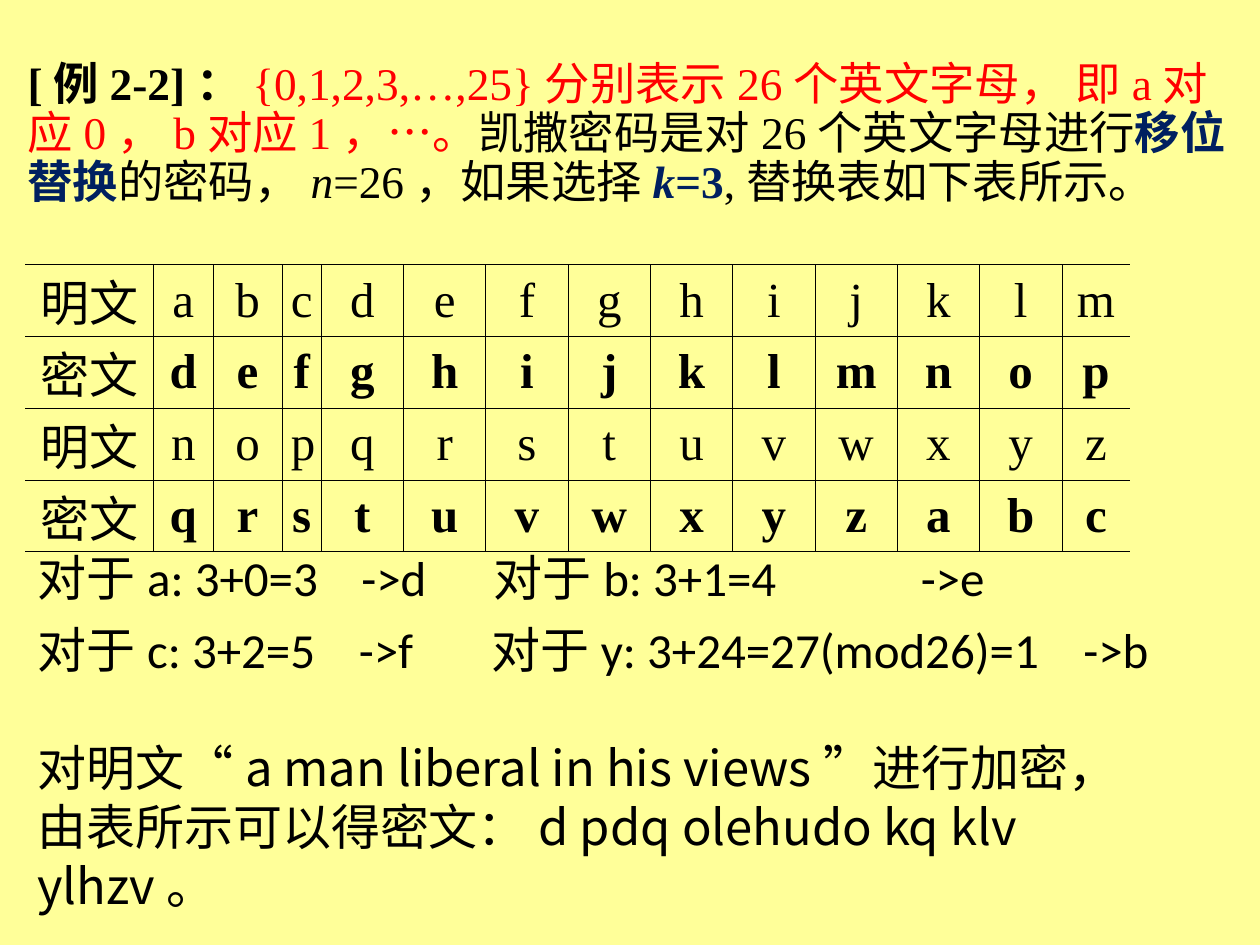
"""Build the slide on the Caesar cipher substitution table."""
from dataclasses import dataclass

from lxml import etree
from pptx import Presentation
from pptx.dml.color import RGBColor
from pptx.enum.text import MSO_ANCHOR, MSO_AUTO_SIZE, PP_ALIGN
from pptx.oxml.ns import qn
from pptx.util import Inches, Pt

CENTER = PP_ALIGN.CENTER
TOP, MIDDLE = MSO_ANCHOR.TOP, MSO_ANCHOR.MIDDLE
NO_FIT, GROW = MSO_AUTO_SIZE.NONE, MSO_AUTO_SIZE.SHAPE_TO_FIT_TEXT


@dataclass(frozen=True)
class Theme:
    """Colours, fonts, type sizes and rule widths."""
    background: str = "FFFF99"
    ink: str = "000000"
    range_red: str = "FF0000"
    key_navy: str = "002060"
    serif: str = "Times New Roman"
    sans: str = "Calibri"
    chinese: str = "Noto Sans CJK SC"
    intro_size: float = 25.9
    body_size: float = 28
    outer_rule: float = 0.75
    inner_rule: float = 0.45


THEME = Theme()
ALPHABET = "abcdefghijklmnopqrstuvwxyz"
SHIFT = 3
HALF = len(ALPHABET) // 2
TABLE_WIDTH = 8.77
FIRST_WIDTHS, LAST_WIDTH = [1.02, 0.47, 0.55, 0.31], 0.54
EQUAL_COLUMNS = HALF - len(FIRST_WIDTHS)
EQUAL_WIDTH = (TABLE_WIDTH - sum(FIRST_WIDTHS) - LAST_WIDTH) / EQUAL_COLUMNS
COLUMN_WIDTHS = FIRST_WIDTHS + [EQUAL_WIDTH] * EQUAL_COLUMNS + [LAST_WIDTH]
ROW_HEIGHT = 0.57

INTRO = [
    ("[例2-2]：", THEME.ink, {"bold": True}),
    ("{0,1,2,3,…,25}分别表示26个英文字母， 即a对应0，b对应1，…。", THEME.range_red, {}),
    ("凯撒密码是对26个英文字母进行", THEME.ink, {}),
    ("移位替换", THEME.key_navy, {"bold": True}),
    ("的密码，", THEME.ink, {}),
    ("n", THEME.ink, {"italic": True}),
    ("=26，如果选择", THEME.ink, {}),
    ("k", THEME.key_navy, {"bold": True, "italic": True}),
    ("=3", THEME.key_navy, {"bold": True}),
    (",替换表如下表所示。", THEME.ink, {}),
]

EXAMPLES = [
    ("对于a: 3+0=3\t->d\t对于b: 3+1=4\t->e", THEME.sans, 0, (2.57, 3.62, 7.01)),
    ("对于c: 3+2=5\t->f\t对于y: 3+24=27(mod26)=1\t->b", THEME.sans, 7, (2.55, 3.6, 8.3)),
    ("对明文“a man liberal in his views”进行加密，由表所示可以得密文："
     "d pdq olehudo kq klv ylhzv。", THEME.chinese, 34, ()),
]


def apply_format(target, values):
    """Set each named attribute on the target."""
    for name, value in values.items():
        setattr(target, name, value)


def add_run(paragraph, text, color=THEME.ink, **values):
    """Append a formatted run to a paragraph."""
    run = paragraph.add_run()
    run.text = text
    apply_format(run.font, {"bold": False, "italic": False, **values})
    run.font.color.rgb = RGBColor.from_string(color)


def add_tab_stops(paragraph, positions):
    """Give a paragraph left-aligned tab stops, in inches."""
    stops = etree.SubElement(paragraph._p.get_or_add_pPr(), qn("a:tabLst"))
    for position in positions:
        etree.SubElement(stops, qn("a:tab"), pos=str(Inches(position)), algn="l")


def add_text_frame(slide, left, top, width, height, fit):
    """Add a wrapping text box and return its text frame."""
    box = slide.shapes.add_textbox(Inches(left), Inches(top), Inches(width), Inches(height))
    apply_format(box.text_frame, {"word_wrap": True, "auto_size": fit, "vertical_anchor": TOP})
    return box.text_frame


def add_intro(slide):
    """Add the statement of the example."""
    statement = add_text_frame(slide, 0.12, 0.44, 9.88, 1.57, NO_FIT).paragraphs[0]
    statement.line_spacing = 0.9
    for text, color, emphasis in INTRO:
        add_run(statement, text, color, name=THEME.serif, size=Pt(THEME.intro_size), **emphasis)


def add_examples(slide):
    """Add the worked substitutions and the encrypted sentence."""
    frame = add_text_frame(slide, 0.2, 4.3, 9.14, 2.53, GROW)
    for index, (text, font, space, stops) in enumerate(EXAMPLES):
        paragraph = frame.add_paragraph() if index else frame.paragraphs[0]
        paragraph.space_before = Pt(space)
        if stops:
            add_tab_stops(paragraph, stops)
        add_run(paragraph, text, name=font, size=Pt(THEME.body_size))


def set_borders(cell, widths):
    """Draw the cell's sides; a width of zero leaves a side open."""
    properties = cell._tc.get_or_add_tcPr()
    for side in ("L", "R", "T", "B"):
        line = etree.SubElement(properties, qn(f"a:ln{side}"), w=str(Pt(widths[side])))
        if widths[side]:
            fill = etree.SubElement(line, qn("a:solidFill"))
            etree.SubElement(fill, qn("a:srgbClr"), val=THEME.ink)
        else:
            etree.SubElement(line, qn("a:noFill"))


def fill_cell(cell, text, font, bold, borders):
    """Write one centred cell with its borders."""
    apply_format(cell, {
        "vertical_anchor": MIDDLE,
        "margin_left": Inches(0.07), "margin_right": Inches(0.07),
        "margin_top": 0, "margin_bottom": 0,
    })
    set_borders(cell, borders)
    cell.fill.background()
    paragraph = cell.text_frame.paragraphs[0]
    paragraph.alignment = CENTER
    add_run(paragraph, text, name=font, size=Pt(THEME.body_size), bold=bold)


def substitution_rows():
    """Return alternating plain and cipher rows for each half of the alphabet."""
    shifted = ALPHABET[SHIFT:] + ALPHABET[:SHIFT]
    return [[label, *letters[start:start + HALF]]
            for start in (0, HALF)
            for label, letters in (("明文", ALPHABET), ("密文", shifted))]


def add_substitution_table(slide):
    """Add the table that maps plain letters to cipher letters."""
    rows = substitution_rows()
    last_row, last_column = len(rows) - 1, len(COLUMN_WIDTHS) - 1
    table = slide.shapes.add_table(
        len(rows), len(COLUMN_WIDTHS), Inches(0.2), Inches(2.1),
        Inches(TABLE_WIDTH), Inches(ROW_HEIGHT * len(rows))).table
    apply_format(table, {"first_row": False, "horz_banding": False})
    for column, width in zip(table.columns, COLUMN_WIDTHS):
        column.width = Inches(width)
    for r, row in enumerate(rows):
        table.rows[r].height = Inches(ROW_HEIGHT)
        for c, text in enumerate(row):
            borders = {
                "L": THEME.inner_rule if c else 0,
                "R": THEME.inner_rule if c < last_column else 0,
                "T": THEME.inner_rule if r else THEME.outer_rule,
                "B": THEME.inner_rule if r < last_row else THEME.outer_rule,
            }
            font = THEME.serif if c else THEME.sans
            fill_cell(table.cell(r, c), text, font, bool(c and r % 2), borders)


def main():
    """Build and save the slide."""
    presentation = Presentation()
    apply_format(presentation, {"slide_width": Inches(10), "slide_height": Inches(7.5)})
    slide = presentation.slides.add_slide(presentation.slide_layouts[6])
    slide.background.fill.solid()
    slide.background.fill.fore_color.rgb = RGBColor.from_string(THEME.background)
    add_intro(slide)
    add_substitution_table(slide)
    add_examples(slide)
    presentation.save("out.pptx")


if __name__ == "__main__":
    main()
